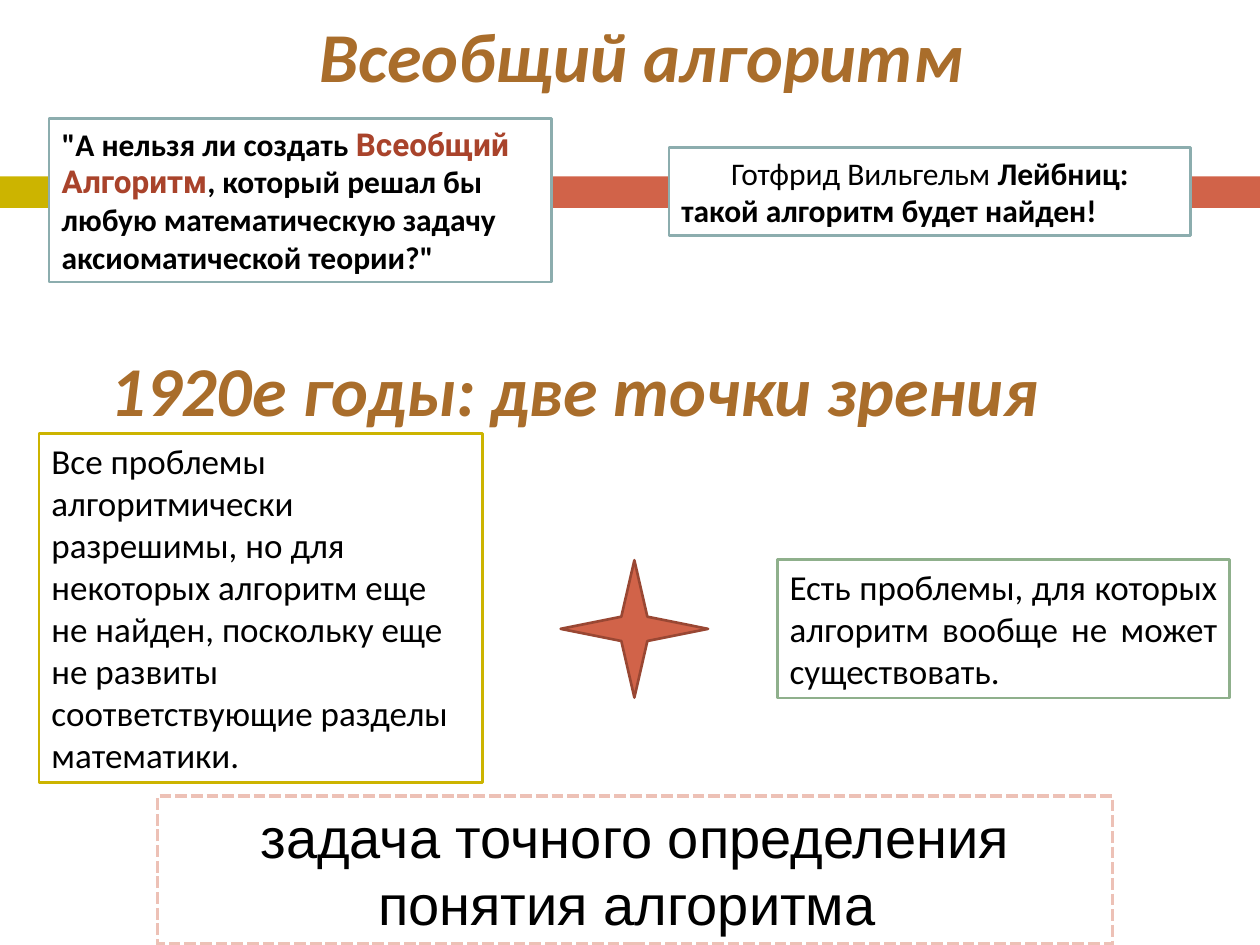
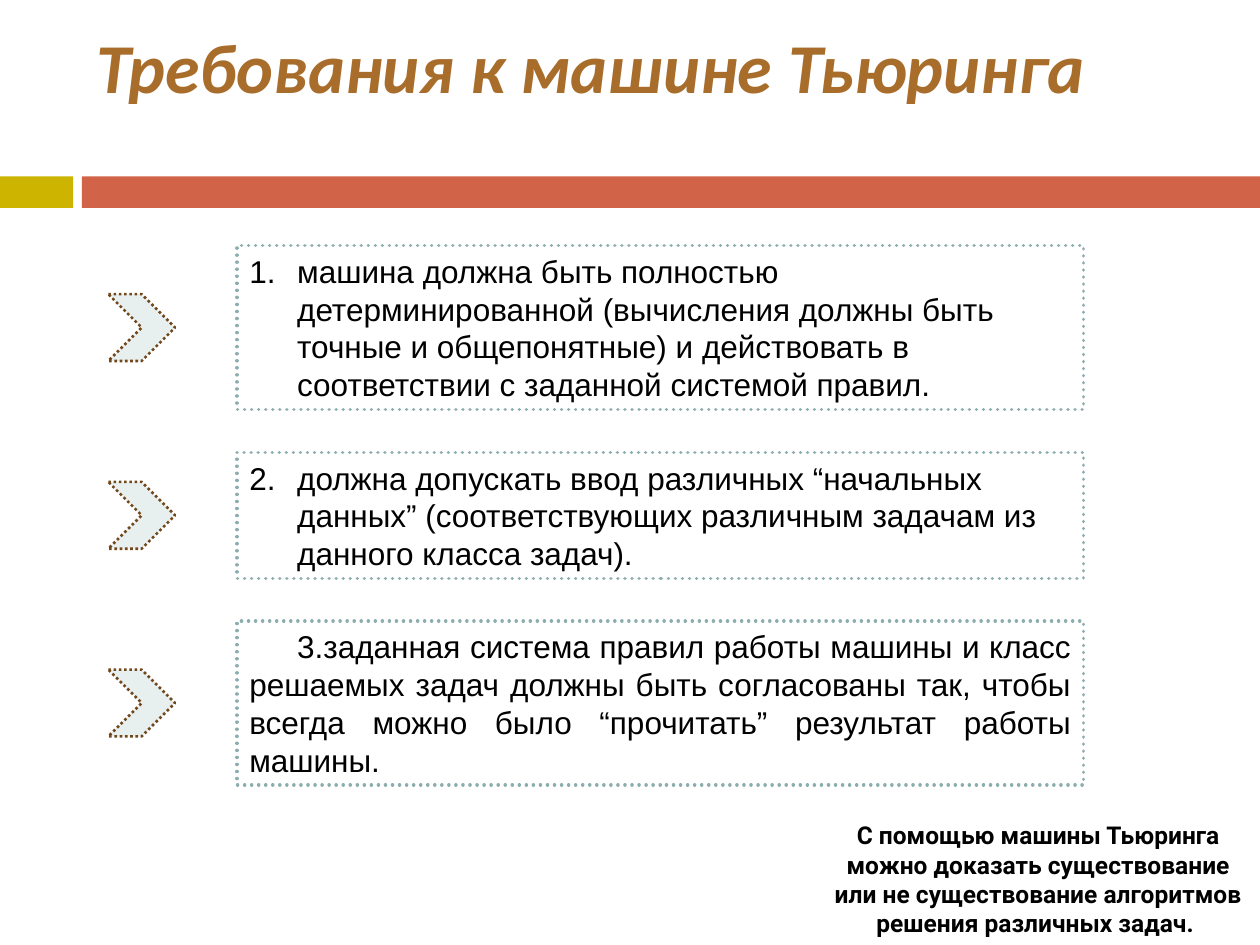
from lxml import etree
from pptx import Presentation
from pptx.dml.color import RGBColor
from pptx.enum.dml import MSO_LINE
from pptx.enum.shapes import MSO_SHAPE
from pptx.enum.text import MSO_ANCHOR, MSO_AUTO_SIZE, PP_ALIGN
from pptx.oxml.ns import qn
from pptx.util import Inches, Pt

RECT, STAR, CHEVRON = MSO_SHAPE.RECTANGLE, MSO_SHAPE.STAR_4_POINT, MSO_SHAPE.CHEVRON
DASHES, DOTS = MSO_LINE.SQUARE_DOT, MSO_LINE.ROUND_DOT
LEFT, CENTER, JUSTIFY = PP_ALIGN.LEFT, PP_ALIGN.CENTER, PP_ALIGN.JUSTIFY
TOP, MIDDLE = MSO_ANCHOR.TOP, MSO_ANCHOR.MIDDLE
FIT, FIXED = MSO_AUTO_SIZE.SHAPE_TO_FIT_TEXT, MSO_AUTO_SIZE.NONE

WIDTH, HEIGHT = Inches(10), Inches(7.5)
COLS, ROWS = 100, 75  # square grid cells
CELL = WIDTH // COLS

BLACK, WHITE, BROWN = "000000", "FFFFFF", "A96D2B"
GOLD, RED, TEAL, GREEN = "CCB400", "D16349", "8CADAE", "8FB08C"
DARK_RED, BRICK, PINK = "994733", "A9432B", "EDC1B6"
PALE, UMBER = "E8EFEF", "71481C"

BODY = {"name": "Calibri", "size": Pt(18)}
BOLD = {**BODY, "bold": True}
VIEW = {"name": "Calibri", "size": Pt(20)}
TASK = {"name": "Arial", "size": Pt(32)}
RULE = {"name": "Arial", "size": Pt(18)}
NOTE = {"name": "Roboto", "size": Pt(14), "bold": True}
TITLE = {"name": "Calibri", "size": Pt(40), "bold": True, "italic": True, "color": BROWN}
TERM = {**BOLD, "name": "Roboto", "color": BRICK}


def rgb(value):
    return RGBColor.from_string(value)


def place(box):
    """Turn a box in grid cells into slide lengths."""
    return [int(n * CELL) for n in box]


def add_figure(slide, kind, box, fill=None, line=None, weight=1.5, dash=None):
    sp = slide.shapes.add_shape(kind, *place(box))
    sp.shadow.inherit = False
    if fill:
        sp.fill.solid()
        sp.fill.fore_color.rgb = rgb(fill)
    else:
        sp.fill.background()
    if line:
        sp.line.color.rgb = rgb(line)
        sp.line.width = Pt(weight)
        if dash:
            sp.line.dash_style = dash
    else:
        sp.line.fill.background()
    return sp


def write(sp, paragraphs, align=LEFT, anchor=TOP, fit=FIT):
    """Fill a shape; each paragraph is a list of (text, format) runs."""
    tf = sp.text_frame
    tf.word_wrap = True
    tf.auto_size = fit
    tf.vertical_anchor = anchor
    for i, runs in enumerate(paragraphs):
        p = tf.add_paragraph() if i else tf.paragraphs[0]
        p.alignment = align
        for text, style in runs:
            r = p.add_run()
            r.text = text
            values = {"color": BLACK, **style}
            r.font.color.rgb = rgb(values.pop("color"))
            for key, value in values.items():
                setattr(r.font, key, value)
    return tf


def number(p, start, margin, indent):
    pPr = p._p.get_or_add_pPr()
    pPr.set("marL", str(Inches(margin)))
    pPr.set("indent", str(Inches(indent)))
    color = etree.SubElement(pPr, qn("a:buClr"))
    etree.SubElement(color, qn("a:srgbClr"), val=BLACK)
    etree.SubElement(pPr, qn("a:buFont"), typeface="+mj-lt")
    etree.SubElement(pPr, qn("a:buAutoNum"), type="arabicPeriod", startAt=str(start))


def add_title(slide, text, box, align=LEFT):
    sp = slide.shapes.add_textbox(*place(box))
    tf = write(sp, [[(text, TITLE)]], align, fit=FIXED)
    tf.paragraphs[0].line_spacing = Pt(40)


def add_bands(slide):
    top, height, split, gap = 14, 2.5, 5.8, 0.7
    add_figure(slide, RECT, (0, top, split, height), GOLD)
    start = split + gap
    add_figure(slide, RECT, (start, top, COLS - start, height), RED)


def new_slide(prs):
    slide = prs.slides.add_slide(prs.slide_layouts[6])
    add_bands(slide)
    return slide


def add_dialogue(slide, box):
    """Question on the left, answer on the right, centred on one line."""
    x, y, w, h = box
    question = add_figure(slide, RECT, (x, y, w * 0.44, h), WHITE, TEAL)
    write(question, [[
        ('"А нельзя ли создать ', BOLD),
        ("Всеобщий Алгоритм", TERM),
        (', который решал бы любую математическую задачу аксиоматической теории?"', BOLD),
    ]])
    answer_w, answer_h = w * 0.457, 7
    answer = add_figure(slide, RECT, (x + w - answer_w, y + 2.3, answer_w, answer_h), WHITE, TEAL)
    tf = write(answer, [
        [("Готфрид Вильгельм ", BODY), ("Лейбниц:", BOLD)],
        [("такой алгоритм будет найден!", BOLD)],
    ])
    tf.paragraphs[0].alignment = CENTER


def add_views(slide, box):
    """Two opposite views with a star between them."""
    x, y, w, h = box
    middle = y + h * 0.56
    right_w, right_h, star_w, star_h = w * 0.38, 11, 11.7, 10.9
    optimists = add_figure(slide, RECT, (x, y, w * 0.3725, h), WHITE, GOLD)
    write(optimists, [[(
        "Все проблемы алгоритмически разрешимы, но для некоторых алгоритм еще не найден, "
        "поскольку еще не развиты соответствующие разделы математики.", VIEW)]])
    add_figure(slide, STAR, (x + w / 2 - star_w / 2, middle - star_h / 2, star_w, star_h),
               RED, DARK_RED)
    sceptics = add_figure(slide, RECT, (x + w - right_w, middle - right_h / 2, right_w, right_h),
                          WHITE, GREEN)
    write(sceptics, [[("Есть проблемы, для которых алгоритм вообще не может существовать. ", VIEW)]],
          JUSTIFY, MIDDLE)


def add_task(slide, box):
    sp = add_figure(slide, RECT, box, None, PINK, 2.25, DASHES)
    write(sp, [[("задача точного определения понятия алгоритма ", TASK)]], CENTER)


def add_requirements(slide, box, items, gap=3.4):
    """Numbered boxes, as tall as their lines, each with a chevron on the left."""
    x, y, w = box
    mark, text_x = 5.3, x + 10.2
    for i, (text, lines, align, margin, indent) in enumerate(items, 1):
        h = lines * 3 + 1
        add_figure(slide, CHEVRON, (x, y + (h - mark) / 2, mark, mark), PALE, UMBER, dash=DOTS)
        sp = add_figure(slide, RECT, (text_x, y, x + w - text_x, h), None, TEAL, 2, DOTS)
        sp.line._get_or_add_ln().set("cap", "rnd")
        tf = write(sp, [[(text, RULE)]], align)
        number(tf.paragraphs[0], i, margin, indent)
        y += h + gap


def add_note(slide, box):
    sp = slide.shapes.add_textbox(*place(box))
    write(sp, [[(
        "С помощью машины Тьюринга можно доказать существование или не существование "
        "алгоритмов решения различных задач. ", NOTE)]], CENTER)


def build_algorithm_slide(prs):
    slide = new_slide(prs)
    add_dialogue(slide, (3.9, 9.4, 90.6, 13))
    add_views(slide, (3.1, 34.4, 94.5, 27.7))
    add_task(slide, (12.5, 63.2, 75.8, 11.7))
    add_title(slide, "Всеобщий алгоритм", (6.3, 1.6, 89.2, 5.6), CENTER)
    add_title(slide, "1920е годы: две точки зрения", (7.8, 28.1, 89.2, 6.4))


def build_turing_slide(prs):
    slide = new_slide(prs)
    add_title(slide, "Требования к машине Тьюринга", (6.7, 2.5, 89.2, 10.8))
    add_requirements(slide, (8.6, 19.5, 77.4), [
        ("машина должна быть полностью детерминированной (вычисления должны быть точные и "
         "общепонятные) и действовать в соответствии с заданной системой правил.",
         4, LEFT, 0.38, -0.38),
        ("должна допускать ввод различных “начальных данных” (соответствующих различным "
         "задачам из данного класса задач).", 3, LEFT, 0.38, -0.38),
        ("заданная система правил работы машины и класс решаемых задач должны быть "
         "согласованы так, чтобы всегда можно было “прочитать” результат работы машины. ",
         4, JUSTIFY, 0, 0.38),
    ])
    add_note(slide, (64.8, 64.6, 35.2, ROWS - 64.6))


def main():
    prs = Presentation()
    prs.slide_width, prs.slide_height = WIDTH, HEIGHT
    build_algorithm_slide(prs)
    build_turing_slide(prs)
    prs.save("out.pptx")


if __name__ == "__main__":
    main()
